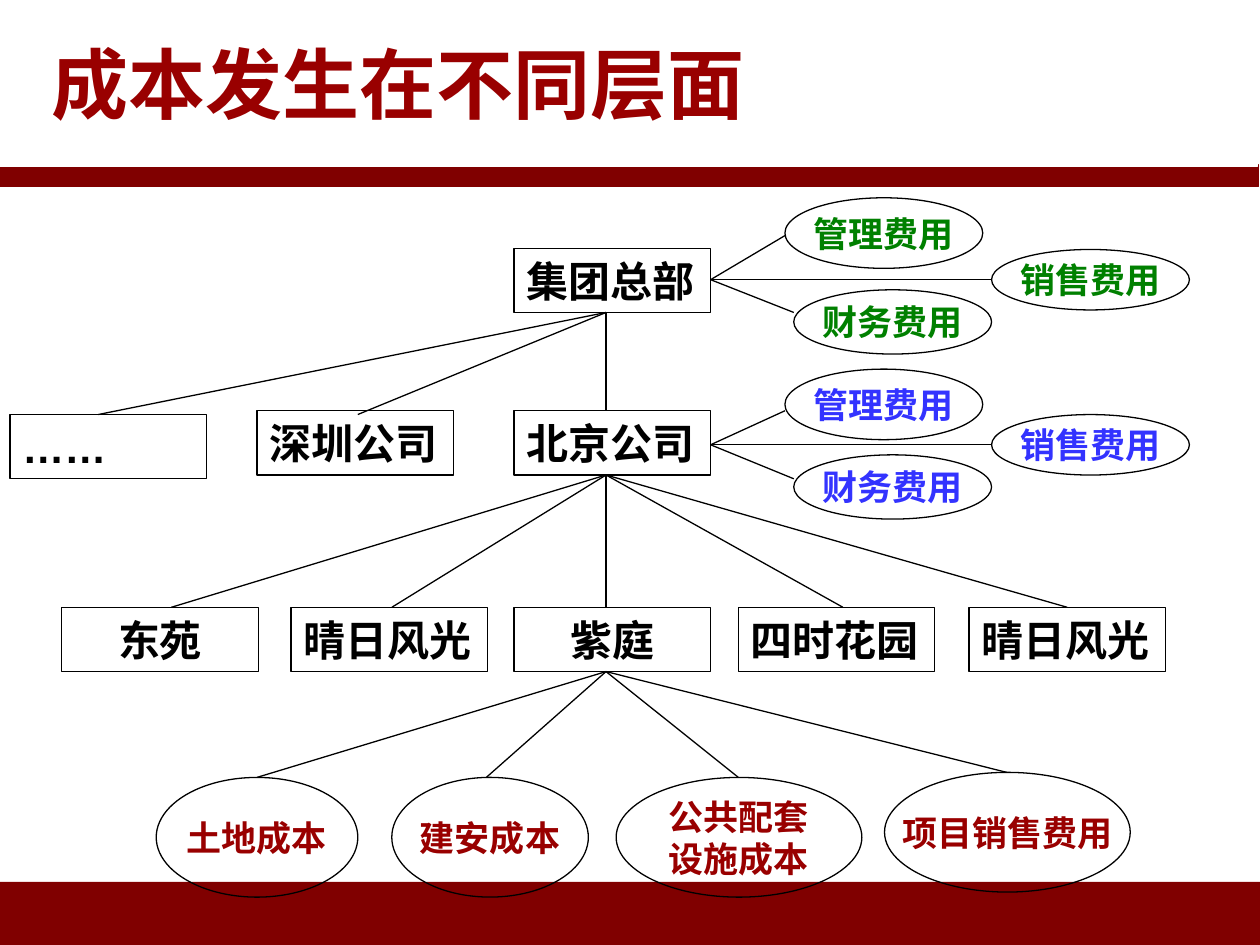
from pptx import Presentation
from pptx.dml.color import RGBColor
from pptx.enum.shapes import MSO_CONNECTOR as CONN, MSO_SHAPE as SHAPE
from pptx.enum.text import MSO_ANCHOR as ANCHOR, PP_ALIGN as ALIGN
from pptx.oxml.ns import qn
from pptx.util import Inches, Pt
from lxml.etree import SubElement

COLORS = {"band": "800000", "white": "FFFFFF", "black": "000000",
          "title": "990000", "project": "990000",
          "head": "008000", "city": "3333FF"}
LATIN, CJK = "Arial", "Noto Sans CJK SC"
BOX_W, BOX_H = 1.56, 0.51
TRUNK_X = 4.81


def rgb(name):
    return RGBColor.from_string(COLORS[name])


class Deck:
    def __init__(self, slide):
        self.slide = slide
        self.line_width = Pt(0.75)

    def shape(self, kind, at, fill=None, line=None):
        s = self.slide.shapes.add_shape(kind, *map(Inches, at))
        s.shadow.inherit = False
        if fill:
            s.fill.solid()
            s.fill.fore_color.rgb = rgb(fill)
        else:
            s.fill.background()
        if line:
            s.line.color.rgb = rgb(line)
            s.line.width = self.line_width
        else:
            s.line.fill.background()
        return s

    def text(self, s, lines, size, font, color, align=ALIGN.CENTER, wrap=True):
        tf = s.text_frame
        tf.word_wrap = wrap
        tf.vertical_anchor = ANCHOR.MIDDLE
        for i, line in enumerate(lines.split("\n")):
            p = tf.add_paragraph() if i else tf.paragraphs[0]
            p.alignment = align
            r = p.add_run()
            r.text = line
            style = {"size": Pt(size), "name": font, "bold": True}
            for key, value in style.items():
                setattr(r.font, key, value)
            r.font.color.rgb = rgb(color)
            SubElement(r.font._element, qn("a:ea"), typeface=CJK)

    def title(self, text, at):
        s = self.slide.shapes.add_textbox(*map(Inches, at))
        self.text(s, text, 44, LATIN, "title", ALIGN.LEFT)

    def box(self, text, x, y, align=ALIGN.LEFT):
        s = self.shape(SHAPE.RECTANGLE, (x, y, BOX_W, BOX_H), line="black")
        self.text(s, text, 24, LATIN, "black", align)

    def oval(self, text, at, color):
        s = self.shape(SHAPE.OVAL, at, line="black")
        self.text(s, text, 20, CJK, color, wrap=False)

    def line(self, start, end):
        c = self.slide.shapes.add_connector(CONN.STRAIGHT, *map(Inches, (*start, *end)))
        c.line.color.rgb = rgb("black")
        c.line.width = self.line_width
        SubElement(c._element.spPr, qn("a:effectLst"))

    def fan(self, start, ends):
        for end in ends:
            self.line(start, end)

    def expenses(self, y, link_y, end_ys, color):
        ovals = [("管理费用", 6.23, y, 0.56),
                 ("销售费用", 7.87, link_y - 0.24, 0.48),
                 ("财务费用", 6.3, link_y + 0.08, BOX_H)]
        for (text, x, top, height), end_y in zip(ovals, end_ys):
            self.oval(text, (x, top, 1.57, height), color)
            self.line((5.64, link_y), (x, end_y))


def main():
    prs = Presentation()
    prs.slide_width, prs.slide_height = Inches(10), Inches(7.5)
    deck = Deck(prs.slides.add_slide(prs.slide_layouts[6]))

    deck.shape(SHAPE.RECTANGLE, (0, 7, 10, 0.5), "band")
    deck.shape(SHAPE.RECTANGLE, (-0.01, 1.31, 10, 0.17), "band", "band")
    deck.shape(SHAPE.RECTANGLE, (-0.02, 0.01, 10, 1.31), "white", "white")
    deck.title("成本发生在不同层面", (0.31, 0.01, 8.94, 1.29))

    head_y, city_y, project_y = 1.97, 3.26, 4.82
    deck.box("集团总部", 4.08, head_y)
    for text, x, y in [("北京公司", 4.08, city_y), ("……", 0.08, 3.29),
                       ("深圳公司", 2.04, city_y)]:
        deck.box(text, x, y)
    deck.fan((TRUNK_X, head_y + BOX_H),
             [(0.78, 3.29), (TRUNK_X, city_y), (2.84, 3.29)])

    projects = [("东苑", 0.49, 1.36, ALIGN.CENTER),
                ("晴日风光", 2.31, 3.11, ALIGN.LEFT),
                ("紫庭", 4.08, TRUNK_X, ALIGN.CENTER),
                ("四时花园", 5.86, 6.69, ALIGN.LEFT),
                ("晴日风光", 7.69, 8.47, ALIGN.LEFT)]
    for text, x, end_x, align in projects:
        deck.box(text, x, project_y, align)
        deck.line((TRUNK_X, city_y + BOX_H), (end_x, project_y))

    costs = [("土地成本", 1.24, 6.17, 1.6, 2.04),
             ("建安成本", 3.11, 6.17, 1.56, 3.86),
             ("公共配套\n设施成本", 4.89, 6.17, 1.95, 5.86),
             ("项目销售费用", 7.02, 6.13, 1.95, 7.99)]
    for text, x, y, width, end_x in costs:
        deck.oval(text, (x, y, width, 0.95), "project")
        deck.line((TRUNK_X, project_y + BOX_H), (end_x, y))

    deck.expenses(2.93, 3.53, (3.26, 3.53, 3.8), "city")
    deck.expenses(1.57, 2.22, (1.87, 2.22, 2.48), "head")
    prs.save("out.pptx")


if __name__ == "__main__":
    main()
